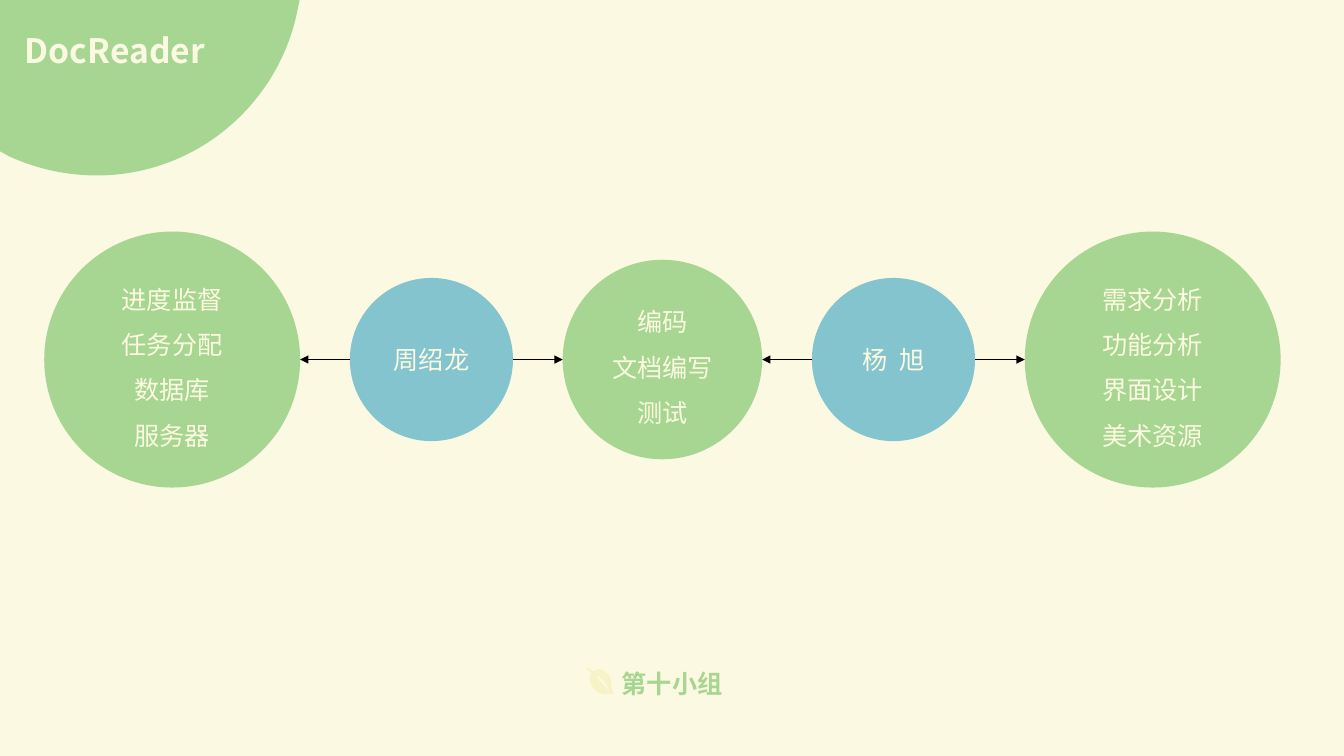
import pptx
import pptx.util
import pptx.dml.color
import pptx.enum.shapes
import pptx.enum.text
import pptx.oxml
import pptx.oxml.ns

FONT = "Noto Sans CJK SC"
COLORS = {
    "cream": "FBF9E1",
    "label": "FCFAE1",
    "green": "A7D692",
    "blue": "83C4CF",
    "leaf": "F7F3C6",
    "arrow": "000000",
}

presentation = pptx.Presentation()
presentation.slide_width = pptx.util.Inches(13.34)
presentation.slide_height = pptx.util.Inches(7.5)
slide = presentation.slides.add_slide(presentation.slide_layouts[6])
slide.background.fill.solid()
slide.background.fill.fore_color.rgb = pptx.dml.color.RGBColor.from_string(COLORS["cream"])
column = presentation.slide_width / 100
row = presentation.slide_height / 100


def write_text(shape, text, size=18, color="label", bold=False, align="LEFT",
               line_spacing=1.0, tracking=0, anchor="TOP", wrap=True):
    frame = shape.text_frame
    frame.word_wrap = wrap
    frame.vertical_anchor = pptx.enum.text.MSO_ANCHOR[anchor]
    frame.text = text
    for paragraph in frame.paragraphs:
        paragraph.alignment = pptx.enum.text.PP_ALIGN[align]
        paragraph.line_spacing = line_spacing
        for run in paragraph.runs:
            run.font.name = FONT
            run.font.size = pptx.util.Pt(size)
            run.font.bold = bold
            run.font.color.rgb = pptx.dml.color.RGBColor.from_string(COLORS[color])
            properties = run._r.get_or_add_rPr()
            if tracking:
                properties.set("spc", str(tracking * 100))
            east_asian = pptx.oxml.parse_xml(
                f'<a:ea {pptx.oxml.ns.nsdecls("a")} typeface="{FONT}"/>')
            properties.find(pptx.oxml.ns.qn("a:latin")).addnext(east_asian)


def paint(shape, color):
    shape.shadow.inherit = False
    shape.fill.solid()
    shape.fill.fore_color.rgb = pptx.dml.color.RGBColor.from_string(COLORS[color])
    shape.line.fill.background()


corner_contour = [
    ((0, -4),),
    ((298, -4),),
    ((295, 11),),
    ((276, 104), (194, 174), (96, 174)),
    ((65, 174), (35, 167), (9, 155)),
    ((0, 150),),
]
leaf_contour = [
    ((26, 19),),
    ((26, 15), (25, 9), (23, 7)),
    ((19, 2), (11, 0), (8, 4)),
    ((7, 4), (3, 0), (3, 0)),
    ((1, 1), (1, 1), (1, 1)),
    ((6, 6), (6, 6), (6, 6)),
    ((6, 6), (0, 15), (13, 25)),
    ((17, 28), (24, 26), (29, 26)),
    ((29, 26), (26, 24), (26, 19)),
]
vein_contour = [
    ((24, 23),),
    ((23, 23),),
    ((23, 23), (19, 18), (15, 14)),
    ((11, 9), (10, 7), (10, 7)),
    ((10, 7), (14, 9), (17, 12)),
    ((20, 15), (24, 23), (24, 23)),
]
outlines = [
    ("green", 0, 0, [corner_contour]),
    ("leaf", 43.55 * column, 88.27 * row, [leaf_contour, vein_contour]),
]
unit = 0.075 * column
for color, outline_left, outline_top, contours in outlines:
    builder = None
    segments = []
    for contour in contours:
        start, *points = [
            (outline_left + x * unit, outline_top + y * unit)
            for segment in contour for x, y in segment]
        if builder is None:
            builder = slide.shapes.build_freeform(*start)
        else:
            builder.move_to(*start)
        builder.add_line_segments(points)
        segments += contour[1:]
    shape = builder.convert_to_shape()
    paint(shape, color)
    lines = iter(list(shape._element.iter(pptx.oxml.ns.qn("a:lnTo"))))
    for segment in segments:
        parts = [next(lines) for point in segment]
        if len(parts) == 3:
            curve = pptx.oxml.parse_xml(
                f'<a:cubicBezTo {pptx.oxml.ns.nsdecls("a")}/>')
            parts[0].addprevious(curve)
            for part in parts:
                curve.append(part[0])
                part.getparent().remove(part)

title = slide.shapes.add_textbox(
    int(1.12 * column), int(3.33 * row), int(24.6 * column), int(6.67 * row))
write_text(title, "DocReader", size=24, color="cream", bold=True)

footer = slide.shapes.add_textbox(
    int(45.53 * column), int(87.73 * row), int(9 * column), int(5.33 * row))
write_text(footer, "第十小组", color="green", bold=True, wrap=False)

circles = [
    ("进度监督\n任务分配\n数据库\n服务器", 19.04, "green", 1.5, 0),
    ("周绍龙", 12.14, "blue", 1.0, 0),
    ("编码\n文档编写\n测试", 14.84, "green", 1.5, 0),
    ("杨 旭", 12.14, "blue", 1.0, 2),
    ("需求分析\n功能分析\n界面设计\n美术资源", 19.04, "green", 1.5, 0),
]
middle = 47.56 * row
gap = 3.7 * column
left = 3.29 * column
edges = []
for text, diameter, color, line_spacing, tracking in circles:
    size = diameter * column
    circle = slide.shapes.add_shape(
        pptx.enum.shapes.MSO_SHAPE.OVAL,
        int(left), int(middle - size / 2), int(size), int(size))
    paint(circle, color)
    write_text(circle, text, align="CENTER", anchor="MIDDLE",
               line_spacing=line_spacing, tracking=tracking)
    edges.append((left, left + size))
    left += size + gap

for person in (1, 3):
    person_left, person_right = edges[person]
    for start, end in ((person_left, edges[person - 1][1]),
                       (person_right, edges[person + 1][0])):
        arrow = slide.shapes.add_connector(
            pptx.enum.shapes.MSO_CONNECTOR.STRAIGHT,
            int(start), int(middle), int(end), int(middle))
        arrow.line.color.rgb = pptx.dml.color.RGBColor.from_string(COLORS["arrow"])
        arrow.line.width = pptx.util.Pt(0.75)
        arrow.line._get_or_add_ln().append(pptx.oxml.parse_xml(
            f'<a:tailEnd {pptx.oxml.ns.nsdecls("a")} type="triangle"/>'))
        arrow._element.spPr.append(pptx.oxml.parse_xml(
            f'<a:effectLst {pptx.oxml.ns.nsdecls("a")}/>'))

presentation.save("out.pptx")
